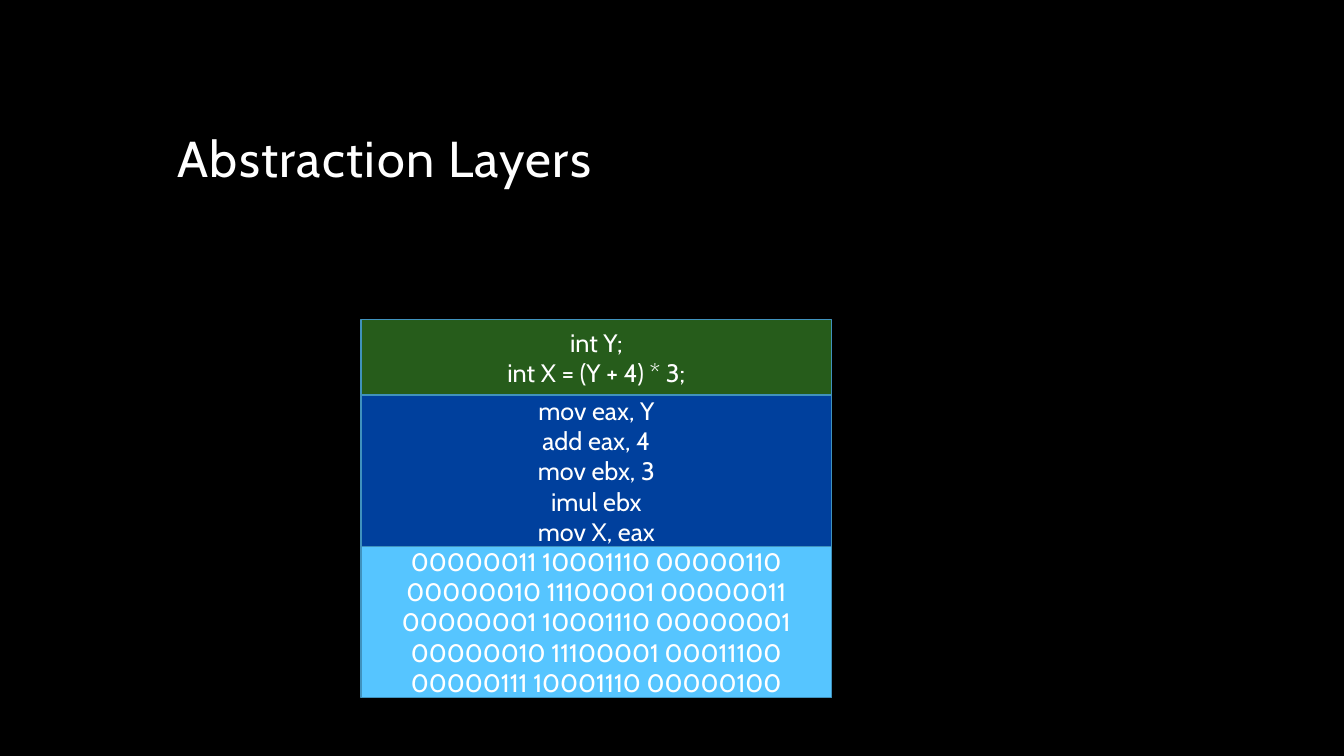
"""Build the Abstraction Layers slide: one program as source, assembly and binary."""
from pptx import Presentation
from pptx.dml.color import RGBColor
from pptx.enum import shapes, text
from pptx.util import Inches, Pt

BLACK = RGBColor(0x00, 0x00, 0x00)
WHITE = RGBColor(0xFF, 0xFF, 0xFF)
GREEN = RGBColor(0x26, 0x5C, 0x1B)
NAVY = RGBColor(0x00, 0x40, 0x9D)
SKY = RGBColor(0x56, 0xC5, 0xFF)
EDGE = RGBColor(0x40, 0x92, 0xBD)


def write(frame, lines, size, align, anchor):
    frame.text = "\n".join(lines)
    frame.word_wrap = True
    frame.auto_size = text.MSO_AUTO_SIZE.NONE
    frame.vertical_anchor = anchor
    for para in frame.paragraphs:
        para.alignment = align
        font = para.runs[0].font
        for key, value in {"name": "Cabin", "size": Pt(size)}.items():
            setattr(font, key, value)
        font.color.rgb = WHITE


deck = Presentation()
deck.slide_width = Inches(13.33)
deck.slide_height = Inches(7.5)
slide = deck.slides.add_slide(deck.slide_layouts[5])
slide.background.fill.solid()
slide.background.fill.fore_color.rgb = BLACK

title = slide.shapes.title
place = {"left": 1.66, "top": 0.42, "width": 10, "height": 1.5}
for key, value in place.items():
    setattr(title, key, Inches(value))
write(title.text_frame, ["Abstraction Layers"], 36,
      text.PP_ALIGN.LEFT, text.MSO_ANCHOR.BOTTOM)
head = title.text_frame.paragraphs[0]
head.line_spacing = 0.9
head.runs[0].font.element.set("spc", "100") if hasattr(
    head.runs[0].font, "element") else head.runs[0]._r.get_or_add_rPr().set("spc", "100")

layers = [
    (SKY, 5.42, 1.5, ["00000011 10001110 00000110",
                      "00000010 11100001 00000011",
                      "00000001 10001110 00000001",
                      "00000010 11100001 00011100",
                      "00000111 10001110 00000100"]),
    (NAVY, 3.92, 1.5, ["mov eax, Y", "add eax, 4", "mov ebx, 3",
                       "imul ebx", "mov X, eax"]),
    (GREEN, 3.17, 0.75, ["int Y;", "int X = (Y + 4) * 3;"]),
]
for color, top, height, lines in layers:
    box = slide.shapes.add_shape(shapes.MSO_SHAPE.RECTANGLE, Inches(3.58),
                                 Inches(top), Inches(4.67), Inches(height))
    box.shadow.inherit = False
    box.fill.solid()
    box.fill.fore_color.rgb = color
    box.line.color.rgb = EDGE
    box.line.width = Pt(1)
    write(box.text_frame, lines, 18, text.PP_ALIGN.CENTER, text.MSO_ANCHOR.MIDDLE)

deck.save("out.pptx")
